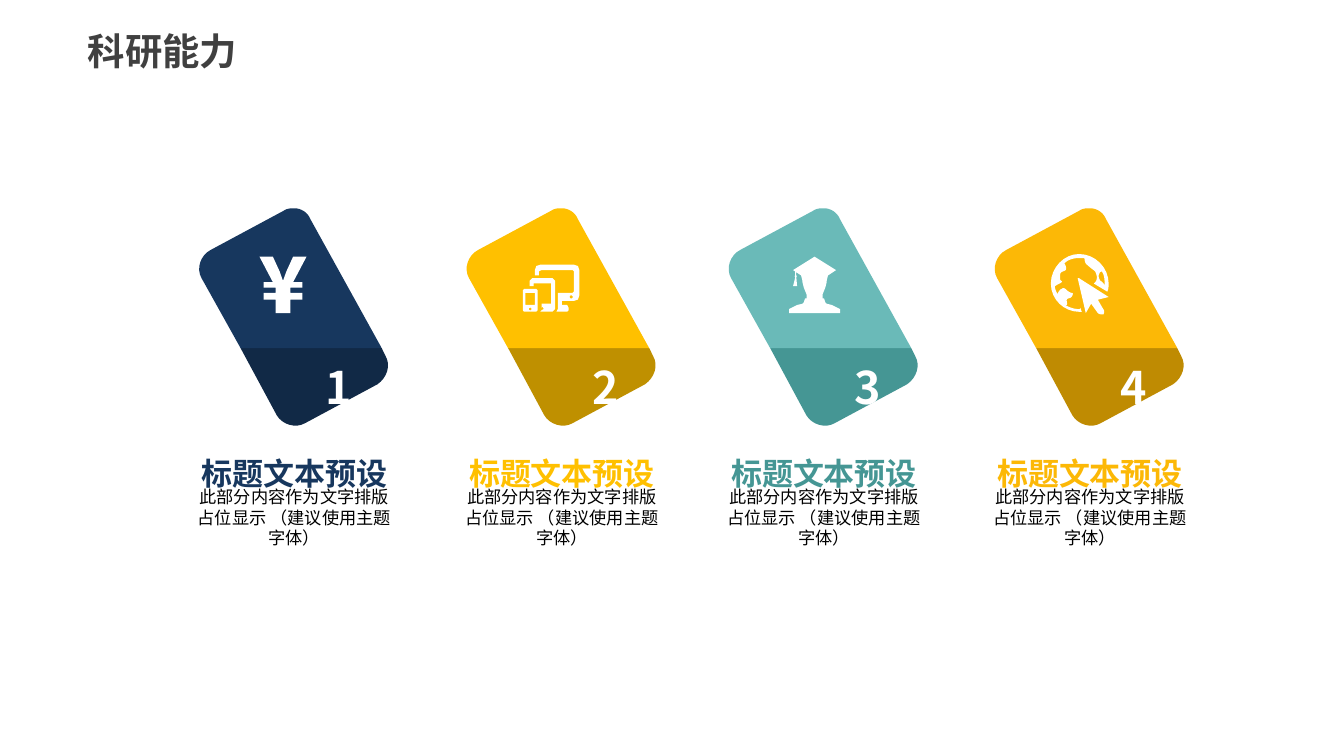
from lxml.etree import SubElement
from math import cos, pi, sin
from pptx import Presentation
from pptx.dml.color import RGBColor as RGB
from pptx.enum.text import MSO_ANCHOR as Anchor, PP_ALIGN as Align
from pptx.oxml.ns import qn
from pptx.util import Pt

FONT = "Noto Sans CJK SC"
HEX = {
    "navy": "17375E", "deep navy": "112946",
    "gold": "FFC000", "deep gold": "BF9000",
    "aqua": "6ABAB8", "teal": "459694",
    "amber": "FCB806", "deep amber": "BF8B02",
    "white": "FFFFFF", "black": "000000", "gray": "404040",
}
HEAD = "标题文本预设"
BODY = "此部分内容作为文字排版占位显示 （建议使用主题字体）"
GRID = 0.72

UPPER = [(53.3, 111.6), (56.9, 111.6, 60.5, 113.8, 61.9, 117.4),
         (100.1, 186.5), (24.5, 186.5), (3.6, 149),
         (0.7, 144, 2.9, 136.8, 8.6, 133.9), (47.5, 113),
         (49.5, 111.6, 51.5, 111.6, 53.3, 111.6)]
LOWER = [(24.5, 186.5), (100.1, 186.5), (102.2, 190.8),
         (105.1, 195.8, 103, 202.3, 97.9, 205.9), (59, 226.8),
         (54, 229.7, 46.8, 227.5, 43.9, 222.5)]


def mirror(half, width):
    return half + [(width - x, y) for x, y in reversed(half)]


def ring(x, y, r):
    return [(x + r * cos(k * pi / 6), y + r * sin(k * pi / 6))
            for k in range(12)]


def box(x0, y0, x1, y1, cut=0):
    return [(x0 + cut, y0), (x1 - cut, y0), (x1, y0 + cut), (x1, y1 - cut),
            (x1 - cut, y1), (x0 + cut, y1), (x0, y1 - cut), (x0, y0 + cut)]


YUAN = [mirror([(17.5, 18), (15, 11), (10, 0), (0, 0), (10, 19), (3, 19),
                (3, 23), (12, 23), (12, 27), (3, 27), (3, 32), (12, 32),
                (12, 42)], 35)]
SCREENS = [
    box(0, 18, 11, 35, 1), box(2, 21, 9, 30), ring(5.5, 33, 1),
    [(7, 10), (22, 10), (24, 12), (24, 33), (22, 35), (13, 35), (14, 34),
     (15.5, 33), (15, 31.5), (14, 32), (14, 29), (21, 29), (21, 14), (8, 14),
     (8, 16), (5, 16), (5, 12)],
    [(13, 0), (38, 0), (41, 1), (42, 4), (42, 23), (41, 26), (38, 27),
     (29, 27), (29, 30), (33, 30), (34, 32), (34, 34), (33, 35), (25, 35),
     (26, 33), (26, 21), (37, 21), (38, 20), (38, 5), (37, 4), (14, 4),
     (12, 5), (12, 8), (9, 8), (9, 4), (10, 1)],
    ring(36, 24, 1.2),
]
SCHOLAR = [
    mirror([(19, 0), (3, 10), (9, 14), (10, 18), (10, 19), (11, 23), (13, 28),
            (13, 31), (12, 31), (11, 34), (10, 35), (6, 36), (0, 39),
            (0, 42)], 38),
    [(4.6, 11.3), (5.3, 11.5), (5.3, 14), (6, 14.5), (5.4, 15), (6, 22),
     (3, 22), (4.7, 15), (4, 14.5), (4.6, 14)],
]
GLOBE = [
    [(21, 18), (43, 32), (35, 34), (39, 41), (40, 42, 40, 44, 39, 45),
     (38, 45, 36, 45, 35, 44), (30, 37), (26, 44), (20, 18)],
    [(38, 13), (37, 13, 36, 14, 36, 15), (35, 16, 36, 19, 37, 20),
     (39, 21, 40, 23, 40, 24), (40, 19, 40, 16, 38, 13)],
    [(21, 0), (33, 0, 43, 10, 43, 22), (43, 24, 43, 26, 42, 28), (32, 22),
     (33, 21, 34, 20, 34, 19), (35, 17, 33, 13, 33, 13),
     (32, 12, 29, 10, 27, 8), (26, 8, 25, 5, 25, 3), (24, 3, 23, 3, 21, 3),
     (17, 3, 13, 4, 10, 7), (11, 8, 12, 11, 11, 12), (10, 13, 7, 13, 7, 15),
     (7, 17, 7, 18, 7, 19), (7, 20, 9, 20, 8, 21), (7, 22, 4, 23, 3, 24),
     (3, 26, 4, 28, 5, 30), (5, 29, 7, 26, 8, 26), (9, 25, 10, 25, 12, 27),
     (13, 28, 15, 29, 16, 29), (17, 29, 16, 33, 13, 33),
     (10, 34, 14, 38, 11, 38), (14, 40, 18, 41, 21, 41),
     (22, 41, 22, 40, 22, 40), (23, 43), (22, 43, 22, 43, 21, 43),
     (10, 43, 0, 34, 0, 22), (0, 10, 10, 0, 21, 0)],
]
CARDS = [
    (104.4, "navy", "deep navy", "navy", YUAN, 34.6, 137.5),
    (247.7, "gold", "deep gold", "gold", SCREENS, 32.4, 141.8),
    (388.1, "aqua", "teal", "teal", SCHOLAR, 34.6, 137.5),
    (530.6, "amber", "deep amber", "amber", GLOBE, 32.4, 136.1),
]


def trace(path, steps=8):
    dots = []
    for part in path:
        if len(part) == 2:
            dots.append(part)
            continue
        start, ends = dots[-1], (part[:2], part[2:4], part[4:])
        for k in range(1, steps + 1):
            t = k / steps
            u = 1 - t
            mix = (u ** 3, 3 * u * u * t, 3 * u * t * t, t ** 3)
            dots.append(tuple(sum(m * p[i] for m, p in zip(mix, (start, *ends)))
                              for i in (0, 1)))
    return dots


def draw(shapes, paths, left, top, color, unit=1):
    pen = None
    for path in paths:
        dots = [(Pt(left + x * unit), Pt(top + y * unit))
                for x, y in trace(path)]
        if pen is None:
            pen = shapes.build_freeform(*dots[0])
        else:
            pen.move_to(*dots[0])
        pen.add_line_segments(dots[1:], close=True)
    form = pen.convert_to_shape()
    form.shadow.inherit = False
    form.fill.solid()
    form.fill.fore_color.rgb = RGB.from_string(HEX[color])
    form.line.fill.background()
    return form


def write(shape, text, size, color, bold, align, wrap, pads=(0, 0, 0, 0)):
    frame = shape.text_frame
    frame.word_wrap = wrap
    frame.vertical_anchor = Anchor.MIDDLE
    frame.margin_left, frame.margin_top = Pt(pads[0]), Pt(pads[1])
    frame.margin_right, frame.margin_bottom = Pt(pads[2]), Pt(pads[3])
    para = frame.paragraphs[0]
    para.alignment = align
    run = para.add_run()
    run.text = text
    font = run.font
    font.name, font.size, font.bold = FONT, Pt(size), bold
    font.color.rgb = RGB.from_string(HEX[color])
    SubElement(run._r.get_or_add_rPr(), qn("a:ea")).set("typeface", FONT)


def label(shapes, area, text, size, color, bold=False, wrap=False):
    shape = shapes.add_textbox(*map(Pt, area))
    write(shape, text, size, color, bold, Align.CENTER, wrap)


def card(slide, num, left, light, dark, tint, icon, dx, top):
    shapes = slide.shapes.add_group_shape().shapes
    base = draw(shapes, [LOWER], left, 0, dark)
    write(base, str(num), 24, "white", True, Align.LEFT, False,
          (45.4, 3.6, 7.2, 3.6))
    draw(shapes, [UPPER], left, 0, light)
    draw(shapes, icon, left + dx, top, "white", GRID)
    label(shapes, (left, 260.6, 106.6, 33.1), BODY, 9.2, "black", wrap=True)
    label(shapes, (left, 244.8, 106.6, 17.3), HEAD, 16.6, tint, bold=True)


def main():
    deck = Presentation()
    deck.slide_width, deck.slide_height = Pt(720), Pt(405)
    slide = deck.slides.add_slide(deck.slide_layouts[6])
    for num, item in enumerate(CARDS, 1):
        card(slide, num, *item)
    label(slide.shapes, (-14.4, 10.1, 203, 33.8), "科研能力", 20, "gray", True)
    deck.save("out.pptx")


if __name__ == "__main__":
    main()
